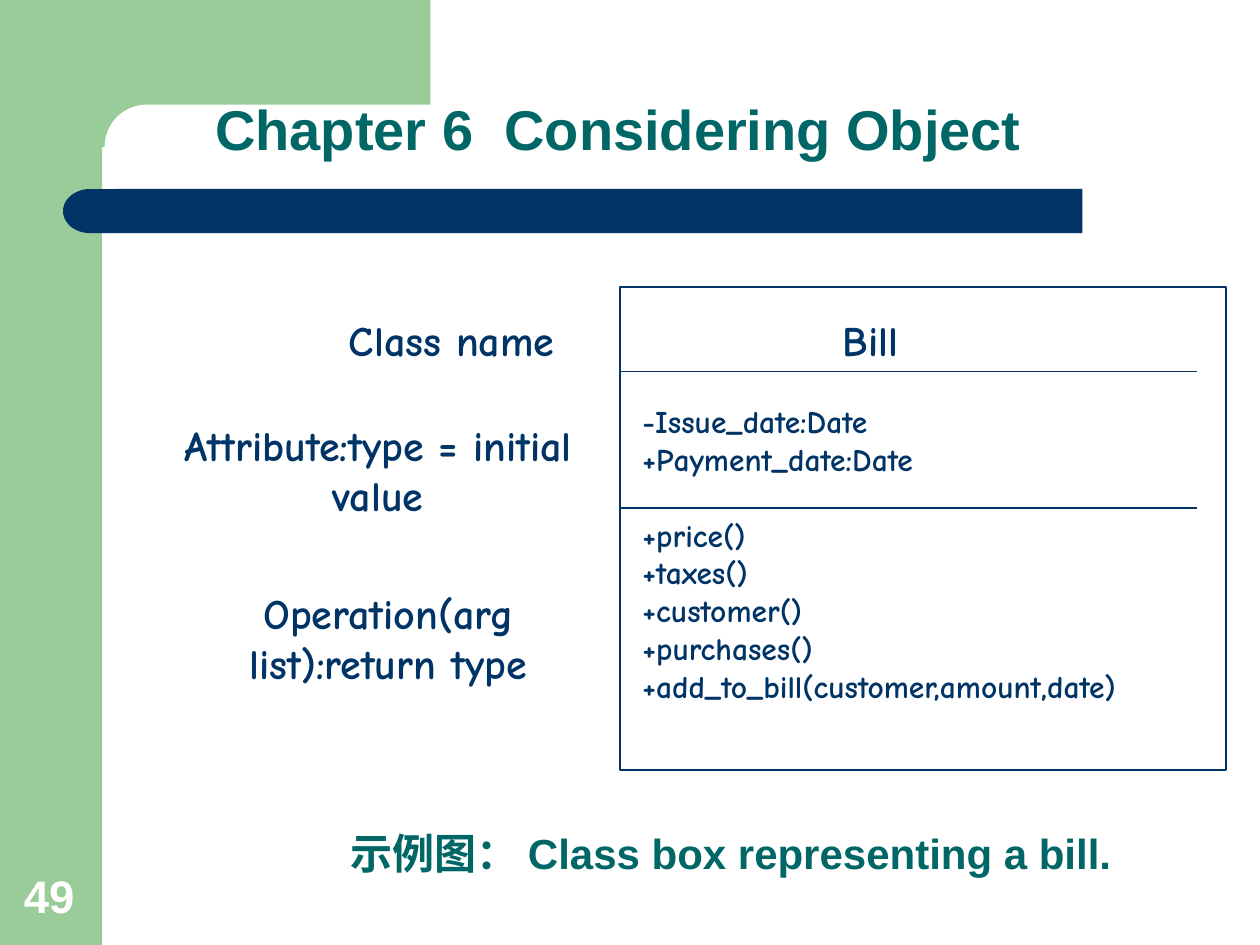
from dataclasses import dataclass

from lxml.etree import SubElement
from pptx import Presentation
from pptx.dml.color import RGBColor
from pptx.enum.shapes import MSO_CONNECTOR, MSO_SHAPE
from pptx.enum.text import MSO_ANCHOR, PP_ALIGN
from pptx.oxml.ns import qn
from pptx.util import Cm, Pt

COLORS = {"green": "99CC99", "navy": "003366", "teal": "006666", "white": "FFFFFF"}
HEAD, HAND = "Arial", "Comic Neue"


@dataclass
class Box:
    x: float
    y: float
    w: float
    h: float

    def lengths(self):
        return Cm(self.x), Cm(self.y), Cm(self.w), Cm(self.h)


@dataclass
class Line:
    text: str
    size: float
    font: str
    color: str
    indent: float = 0
    before: float = 0
    spacing: float = 1.0
    align: PP_ALIGN = PP_ALIGN.LEFT


def rgb(name: str) -> RGBColor:
    return RGBColor.from_string(COLORS[name])


def write(tf, lines: list[Line], anchor=MSO_ANCHOR.TOP) -> None:
    tf.word_wrap = True
    tf.vertical_anchor = anchor
    for i, line in enumerate(lines):
        p = tf.paragraphs[0] if i == 0 else tf.add_paragraph()
        p.alignment = line.align
        p.line_spacing = line.spacing
        if line.before:
            p.space_before = Pt(line.before)
        if line.indent:
            p._p.get_or_add_pPr().set("marL", str(Cm(line.indent)))
        r = p.add_run()
        r.text = line.text
        r.font.name, r.font.size, r.font.bold = line.font, Pt(line.size), True
        r.font.color.rgb = rgb(line.color)


def add_text(s, box: Box, line: Line, anchor=MSO_ANCHOR.TOP) -> None:
    write(s.shapes.add_textbox(*box.lengths()).text_frame, [line], anchor)


def add_shape(s, box: Box, fill: str, kind=MSO_SHAPE.RECTANGLE):
    sp = s.shapes.add_shape(kind, *box.lengths())
    sp.shadow.inherit = False
    sp.fill.solid()
    sp.fill.fore_color.rgb = rgb(fill)
    sp.line.fill.background()
    return sp


def add_divider(s, x1: float, x2: float, y: float) -> None:
    c = s.shapes.add_connector(MSO_CONNECTOR.STRAIGHT, Cm(x1), Cm(y), Cm(x2), Cm(y))
    c.line.color.rgb = rgb("navy")
    c.line.width = Pt(1)
    SubElement(c._element.spPr, qn("a:effectLst"))


def main() -> None:
    prs = Presentation()
    prs.slide_width, prs.slide_height = Cm(25.4), Cm(19.05)
    s = prs.slides.add_slide(prs.slide_layouts[5])

    # Green frame with a rounded inner corner
    add_shape(s, Box(0, 0, 2.06, 19.05), "green")
    add_shape(s, Box(1.85, 0, 6.83, 2.97), "green")
    corner = add_shape(s, Box(2.11, 2.11, 14.17, 1.7), "white", MSO_SHAPE.ROUNDED_RECTANGLE)
    corner.adjustments[0] = 0.5

    # Navy bar with a round left end
    add_shape(s, Box(2.34, 3.81, 19.48, 0.89), "navy")
    cap = add_shape(s, Box(1.27, 3.81, 1.09, 0.89), "navy", MSO_SHAPE.FLOWCHART_DELAY)
    cap.rotation = 180

    # Slide number, chapter heading and caption
    add_text(s, Box(0.23, 17.35, 1.63, 1.37), Line("49", 26, HEAD, "white"), MSO_ANCHOR.BOTTOM)
    add_text(s, Box(2.54, 1.07, 22.22, 2.34),
             Line("Chapter 6  Considering Object", 32, HEAD, "teal", indent=1.55, spacing=0.9),
             MSO_ANCHOR.BOTTOM)
    title = s.shapes.title
    title.left, title.top, title.width, title.height = Box(6.81, 15.93, 17.91, 1.9).lengths()
    write(title.text_frame,
          [Line("示例图： Class box representing a bill.", 24, HEAD, "teal", spacing=0.9)],
          MSO_ANCHOR.BOTTOM)

    # Class box: name, attributes, operations
    box = Box(12.5, 5.79, 12.22, 9.73)
    sp = add_shape(s, box, "white")
    sp.line.color.rgb = rgb("navy")
    sp.line.width = Pt(1)
    lines = [Line("Bill", 24, HAND, "navy", indent=4.24)]
    for group in (
        ["-Issue_date:Date", "+Payment_date:Date"],
        ["+price()", "+taxes()", "+customer()", "+purchases()",
         "+add_to_bill(customer,amount,date)"],
    ):
        lines += [Line(member, 18, HAND, "navy", indent=0.2, before=0 if i else 21.5)
                  for i, member in enumerate(group)]
    sp.text_frame.margin_bottom = Cm(0.89)
    write(sp.text_frame, lines, MSO_ANCHOR.MIDDLE)
    for y in (7.49, 10.24):
        add_divider(s, box.x, 24.13, y)

    # Labels for the compartments
    for label_box, text in (
        (Box(6.35, 6.22, 5.51, 1.27), "Class name"),
        (Box(3.18, 8.33, 8.89, 2.29), "Attribute:type = initial value"),
        (Box(3.38, 11.71, 8.89, 2.29), "Operation(arg list):return type"),
    ):
        add_text(s, label_box, Line(text, 24, HAND, "navy", align=PP_ALIGN.CENTER))

    prs.save("out.pptx")


if __name__ == "__main__":
    main()
